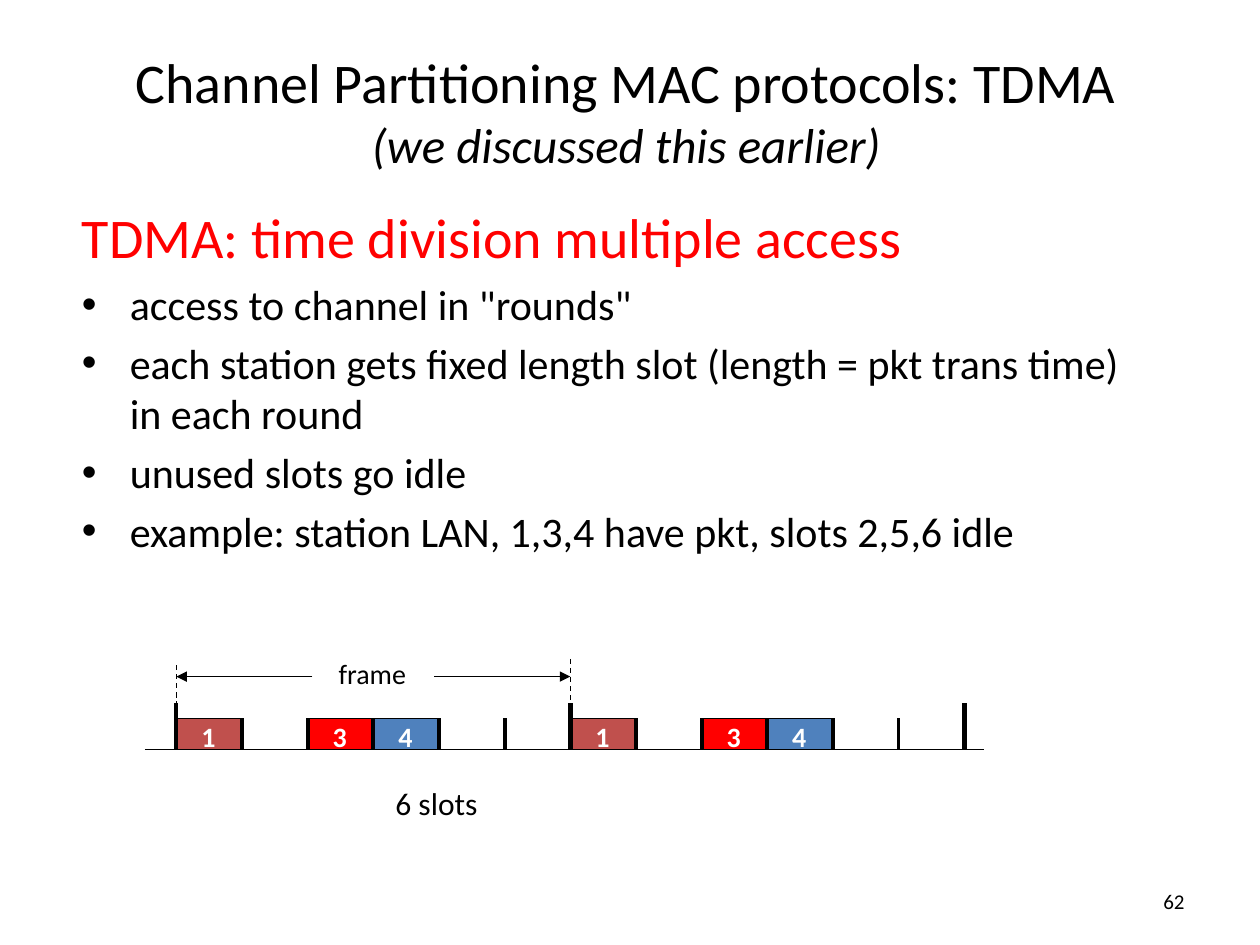
from lxml import etree
from pptx import Presentation
from pptx.dml.color import RGBColor
from pptx.enum.dml import MSO_LINE
from pptx.enum.shapes import MSO_CONNECTOR, MSO_SHAPE
from pptx.enum.text import MSO_ANCHOR, MSO_AUTO_SIZE, PP_ALIGN
from pptx.oxml.ns import qn
from pptx.util import Inches, Pt

BLACK = RGBColor(0x00, 0x00, 0x00)
WHITE = RGBColor(0xFF, 0xFF, 0xFF)
RED = RGBColor(0xFF, 0x00, 0x00)
BRICK = RGBColor(0xC0, 0x50, 0x4D)
BLUE = RGBColor(0x4F, 0x81, 0xBD)
FONT = "Calibri"

# Content
TITLE = "Channel Partitioning MAC protocols: TDMA"
SUBTITLE = "(we discussed this earlier)"
HEADING = "TDMA: time division multiple access"
POINTS = [
    'access to channel in "rounds"',
    "each station gets fixed length slot (length = pkt trans time) in each round",
    "unused slots go idle",
    "example: station LAN, 1,3,4 have pkt, slots 2,5,6 idle",
]
STATIONS = {1: BRICK, 3: RED, 4: BLUE}  # slot number: packet colour
FRAMES, SLOTS = 2, 6
PAGE = "62"

# Timeline grid, in inches
START, SLOT_W = 1.4, 0.52
AXIS_Y, PACKET_H, FRAME_TICK_H = 5.95, 0.25, 0.37
ARROW_Y, ARROW_LEN = 5.37, 1.08

prs = Presentation()
prs.slide_width, prs.slide_height = Inches(10), Inches(7.5)
slide = prs.slides.add_slide(prs.slide_layouts[1])


def place(box, left, top, width, height):
    box.left, box.top = Inches(left), Inches(top)
    box.width, box.height = Inches(width), Inches(height)


def style(font, size, color=BLACK, bold=None):
    font.name, font.size, font.bold = FONT, Pt(size), bold
    font.color.rgb = color


def label(text, left, top, width, height, size, color=BLACK, bold=None,
          align=PP_ALIGN.LEFT, anchor=MSO_ANCHOR.TOP, wrap=False):
    frame = slide.shapes.add_textbox(
        Inches(left), Inches(top), Inches(width), Inches(height)).text_frame
    frame.word_wrap, frame.vertical_anchor = wrap, anchor
    paragraph = frame.paragraphs[0]
    paragraph.text, paragraph.alignment = text, align
    style(paragraph.font, size, color, bold)


def line(x1, y1, x2, y2, width=0.75, dashed=False, arrow=False):
    connector = slide.shapes.add_connector(
        MSO_CONNECTOR.STRAIGHT, Inches(x1), Inches(y1), Inches(x2), Inches(y2))
    connector.line.color.rgb = BLACK
    connector.line.width = Pt(width)
    if dashed:
        connector.line.dash_style = MSO_LINE.DASH
    properties = connector._element.spPr
    if arrow:
        etree.SubElement(properties.find(qn("a:ln")), qn("a:tailEnd"), type="triangle")
    etree.SubElement(properties, qn("a:effectLst"))


def slot_x(index):
    return START + index * SLOT_W * 1.002


# Title
title = slide.shapes.title
place(title, 0.25, 0.25, 9.44, 1.25)
title.text_frame.auto_size = MSO_AUTO_SIZE.NONE
title.text_frame.vertical_anchor = MSO_ANCHOR.MIDDLE
heading = title.text_frame.paragraphs[0]
heading.alignment = PP_ALIGN.CENTER
main = heading.add_run()
main.text = TITLE
style(main.font, 32)
heading.add_line_break()
aside = heading.add_run()
aside.text = SUBTITLE
style(aside.font, 28)
aside.font.italic = True

# Heading and bullet list
body = slide.placeholders[1]
place(body, 0.55, 1.56, 8.5, 3.2)
body.text_frame.auto_size = MSO_AUTO_SIZE.NONE
body.text_frame.text = "\n".join([HEADING] + POINTS)
for i, paragraph in enumerate(body.text_frame.paragraphs):
    properties = paragraph._p.get_or_add_pPr()
    properties.set("marL", str(Inches(0.38)))
    properties.set("indent", str(-Inches(0.38)))
    if i == 0:
        etree.SubElement(properties, qn("a:buNone"))
        style(paragraph.font, 32, RED)
    else:
        etree.SubElement(properties, qn("a:buChar"), char="•")
        style(paragraph.font, 24)

# Time axis and packets
line(1.15, AXIS_Y, 7.81, AXIS_Y)
for frame_index in range(FRAMES):
    for number, color in STATIONS.items():
        left = slot_x(frame_index * SLOTS + number - 1)
        packet = slide.shapes.add_shape(
            MSO_SHAPE.RECTANGLE, Inches(left), Inches(AXIS_Y - PACKET_H),
            Inches(SLOT_W), Inches(PACKET_H))
        packet.shadow.inherit = False
        packet.fill.solid()
        packet.fill.fore_color.rgb = color
        packet.line.color.rgb = BLACK
        packet.line.width = Pt(0.75)
        label(str(number), left + 0.1, 5.66, 0.33, 0.37, 16, WHITE, True)

# Slot ticks, taller where a frame begins
for i in range(FRAMES * SLOTS + 1):
    starts_frame = i % SLOTS == 0
    height = FRAME_TICK_H if starts_frame else PACKET_H
    line(slot_x(i), AXIS_Y - height, slot_x(i), AXIS_Y,
         3 if starts_frame and i else 2.25)

# Frame span
frame_end = slot_x(SLOTS)
for x, top, inward in ((START, 5.28, 1), (frame_end, 5.23, -1)):
    line(x, top, x, top + 0.33, dashed=True)
    line(x + inward * ARROW_LEN, ARROW_Y, x, ARROW_Y, arrow=True)
label("frame", 2.59, 5.16, 0.74, 0.37, 16)
label("6 slots", 3.04, 6.17, 0.86, 0.4, 18)

# Page number
label(PAGE, 7.17, 6.95, 2.33, 0.4, 12, align=PP_ALIGN.RIGHT,
      anchor=MSO_ANCHOR.MIDDLE, wrap=True)

prs.save("out.pptx")
